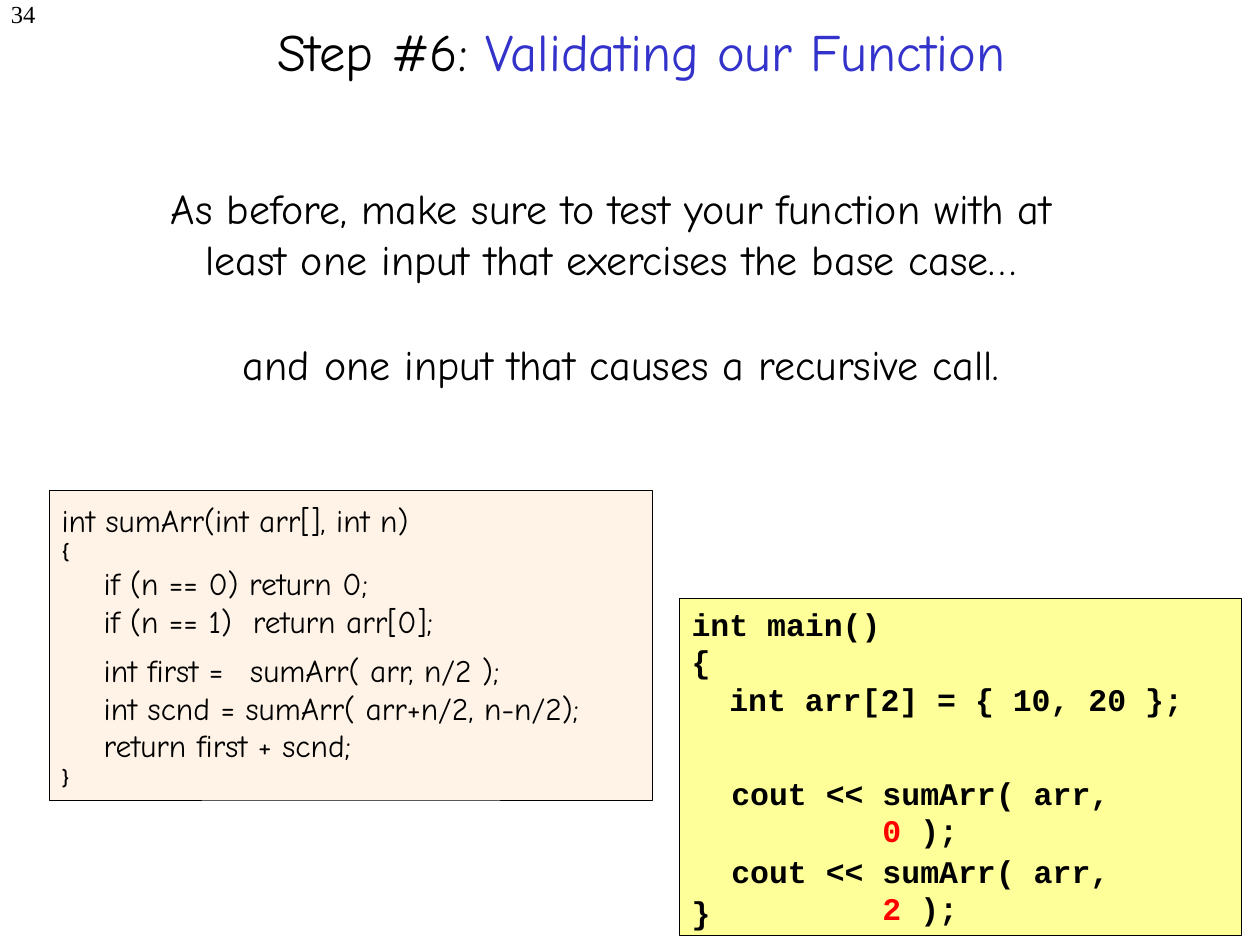
from dataclasses import dataclass

from pptx import Presentation
from pptx.dml.color import RGBColor
from pptx.enum.shapes import MSO_SHAPE
from pptx.enum.text import MSO_ANCHOR, PP_ALIGN
from pptx.shapes.base import BaseShape
from pptx.slide import Slide
from pptx.text.text import TextFrame
from pptx.util import Inches, Pt

LEFT, CENTER, RIGHT = PP_ALIGN.LEFT, PP_ALIGN.CENTER, PP_ALIGN.RIGHT
TOP, MIDDLE = MSO_ANCHOR.TOP, MSO_ANCHOR.MIDDLE
RECTANGLE = MSO_SHAPE.RECTANGLE

HAND, CODE, SERIF = "Comic Neue", "Courier New", "Times New Roman"
BLACK, BLUE, RED = "000000", "3333CC", "FF0000"
PEACH, YELLOW = "FFF3E7", "FFFF99"


@dataclass(frozen=True)
class Span:
    text: str
    size: float = 18
    color: str = BLACK
    bold: bool = False
    font: str = HAND


@dataclass(frozen=True)
class Line:
    spans: tuple[Span, ...]
    space_before: float = 0


@dataclass(frozen=True)
class Box:
    left: float
    top: float
    width: float
    height: float


def rgb(color: str) -> RGBColor:
    return RGBColor.from_string(color)


def write(frame: TextFrame, lines: list[Line], align: PP_ALIGN = LEFT,
          anchor: MSO_ANCHOR = TOP) -> None:
    frame.word_wrap = True
    frame.vertical_anchor = anchor
    for index, line in enumerate(lines):
        paragraph = frame.paragraphs[0] if index == 0 else frame.add_paragraph()
        paragraph.alignment = align
        paragraph.space_before = Pt(line.space_before)
        for span in line.spans:
            run = paragraph.add_run()
            run.text = span.text
            run.font.name = span.font
            run.font.size = Pt(span.size)
            run.font.bold = span.bold
            run.font.color.rgb = rgb(span.color)


def place(shape: BaseShape, box: Box) -> None:
    shape.left, shape.top = Inches(box.left), Inches(box.top)
    shape.width, shape.height = Inches(box.width), Inches(box.height)


def add_text(slide: Slide, box: Box, line: Line,
             align: PP_ALIGN = CENTER) -> TextFrame:
    label = slide.shapes.add_textbox(0, 0, 0, 0)
    place(label, box)
    write(label.text_frame, [line], align)
    return label.text_frame


def add_code_panel(slide: Slide, box: Box, fill: str, lines: list[Line],
                   anchor: MSO_ANCHOR) -> None:
    panel = slide.shapes.add_shape(RECTANGLE, 0, 0, 0, 0)
    place(panel, box)
    panel.shadow.inherit = False
    panel.fill.solid()
    panel.fill.fore_color.rgb = rgb(fill)
    panel.line.color.rgb = rgb(BLACK)
    panel.line.width = Pt(0.25)
    write(panel.text_frame, lines, LEFT, anchor)


def code(text: str, color: str = BLACK) -> Span:
    return Span(text, color=color, bold=True, font=CODE)


def hand_line(text: str) -> Line:
    return Line((Span(text),))


def brace(text: str) -> Line:
    return Line((Span(text, 12, bold=True),))


SUM_FUNCTION = [
    hand_line("int sumArr(int arr[], int n)"),
    brace("{"),
    hand_line("    if (n == 0) return 0;"),
    hand_line("    if (n == 1)  return arr[0];"),
    Line((Span("    int first =  "), Span(" ", 10), Span("sumArr( arr, n/2 );")), 6.5),
    hand_line("    int scnd = sumArr( arr+n/2, n-n/2);"),
    hand_line("    return first + scnd;"),
    brace("}"),
]

# The gap above the closing brace leaves room for the test calls.
MAIN_FUNCTION = [
    Line((code("int main()"),)),
    Line((code("{"),)),
    Line((code("  int arr[2] = { 10, 20 };"),)),
    Line((code("}"),), 100),
]

ADVICE = [
    (Box(0.93, 1.4, 7.84, 0.91),
     "As before, make sure to test your function with at least one input "
     "that exercises the base case…"),
    (Box(1.01, 2.64, 7.84, 0.5), "and one input that causes a recursive call."),
]

TEST_CALLS = [(6.09, "0"), (6.71, "2")]


def main() -> None:
    deck = Presentation()
    deck.slide_width, deck.slide_height = Inches(10), Inches(7.5)
    slide = deck.slides.add_slide(deck.slide_layouts[5])

    title = slide.shapes.title
    place(title, Box(0.73, -0.22, 8.72, 1.25))
    heading = Line((Span("Step #6: ", 30), Span("Validating our Function", 30, BLUE)))
    write(title.text_frame, [heading], CENTER, MIDDLE)

    page_number = add_text(slide, Box(0, -0.06, 0.38, 0.5),
                           Line((Span("34", 14, font=SERIF),)), RIGHT)
    page_number.margin_left = 0

    add_code_panel(slide, Box(5.39, 4.75, 4.46, 2.67), YELLOW, MAIN_FUNCTION, TOP)
    for top, count in TEST_CALLS:
        call = Line((code("cout << sumArr( arr, "), code(count, RED), code(" );")))
        frame = add_text(slide, Box(5.69, top, 3.93, 0.4), call)
        frame.margin_right = Inches(0.8)

    for box, sentence in ADVICE:
        add_text(slide, box, Line((Span(sentence, 24),)))

    add_code_panel(slide, Box(0.39, 3.89, 4.79, 2.46), PEACH, SUM_FUNCTION, MIDDLE)
    deck.save("out.pptx")


if __name__ == "__main__":
    main()
